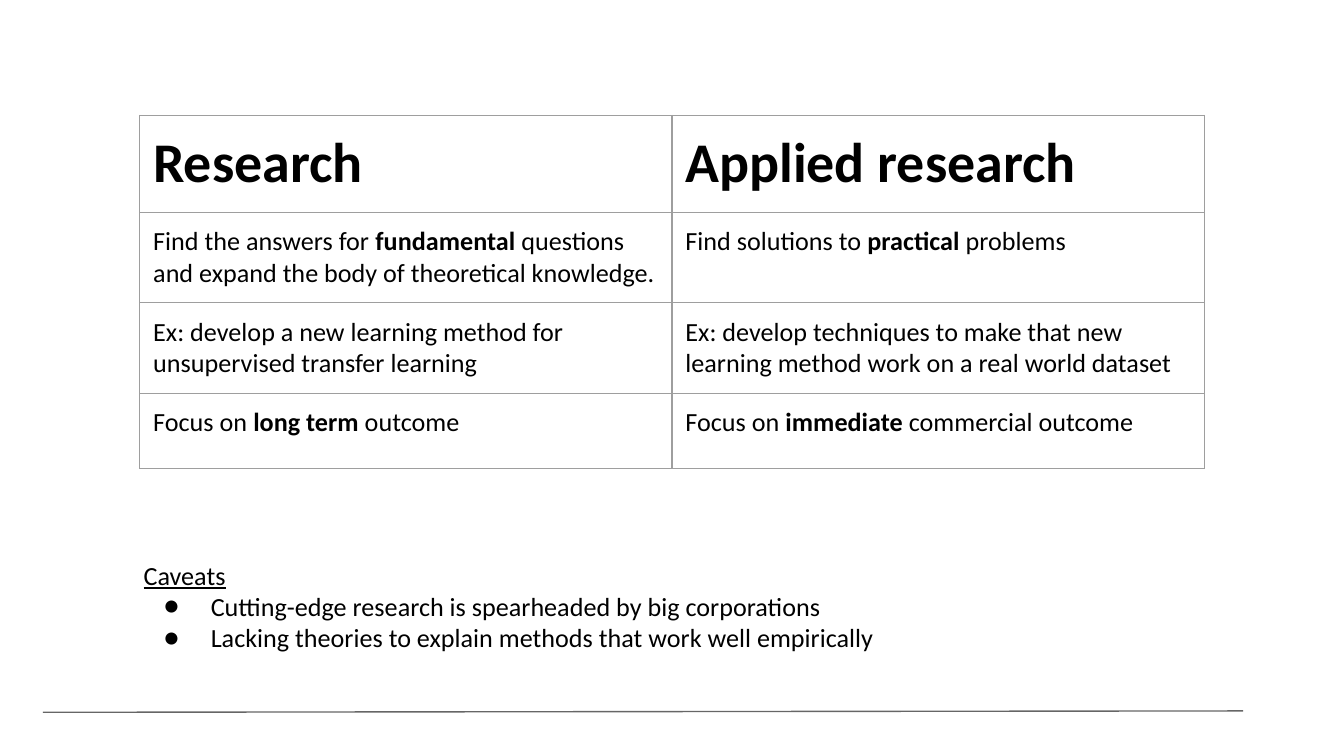
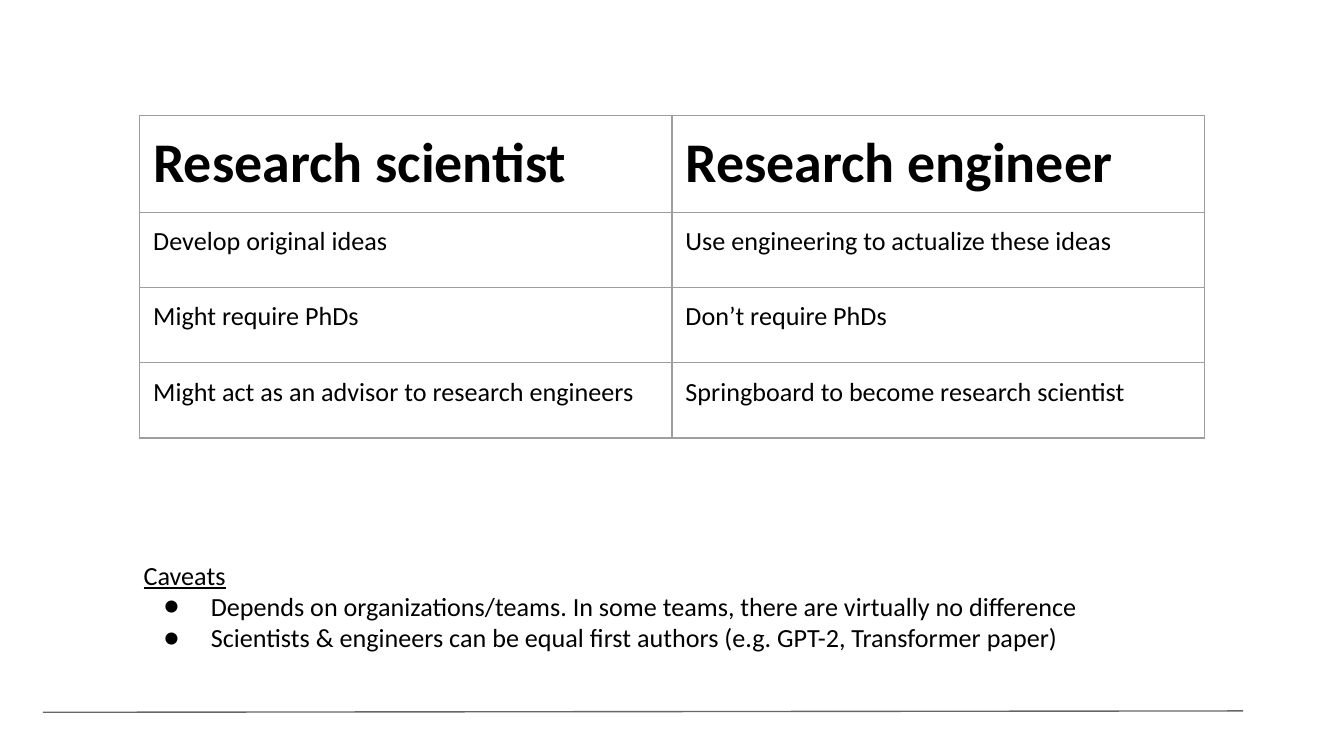
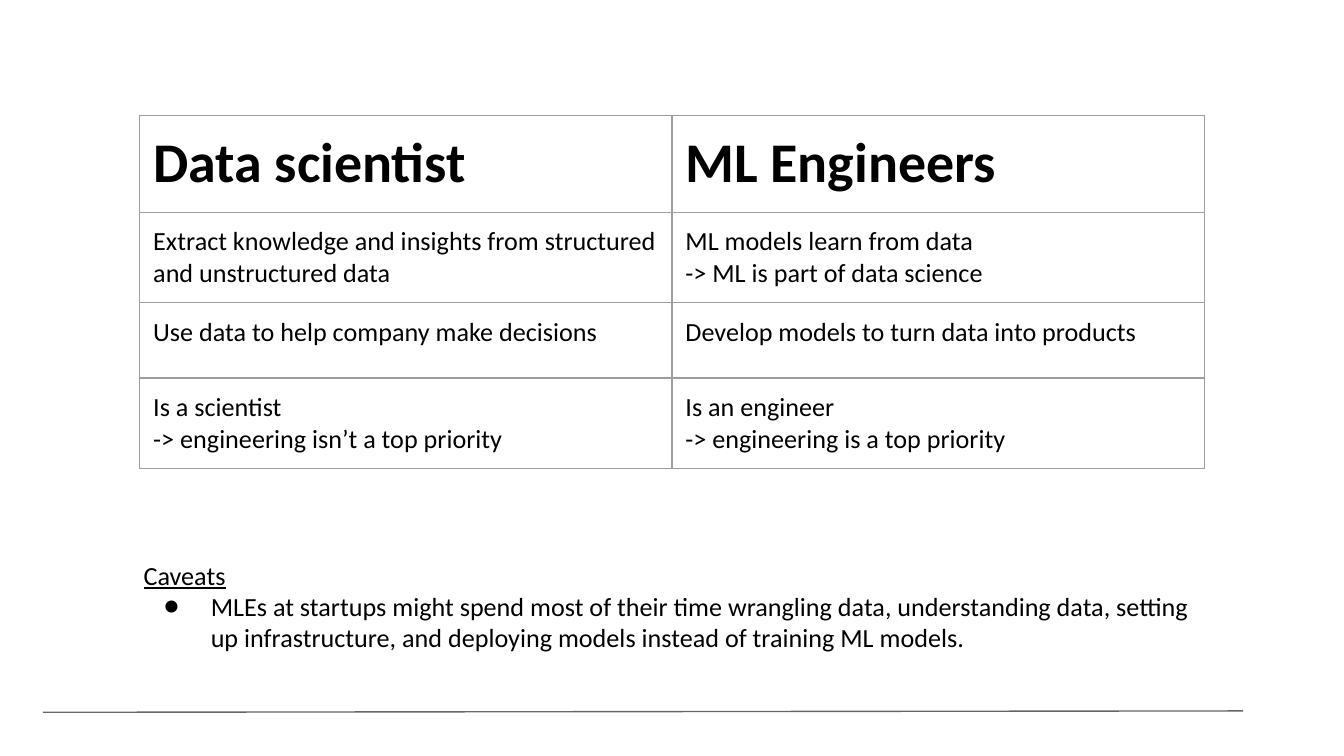
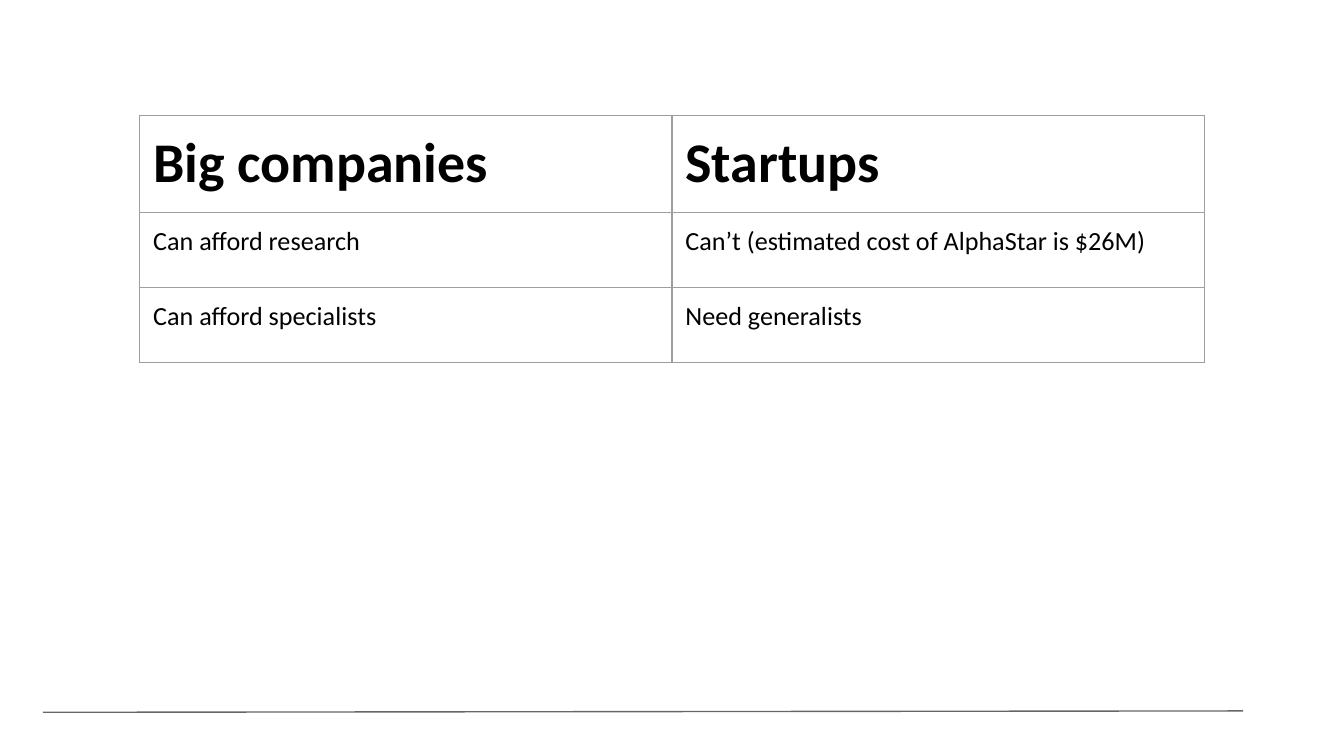
from dataclasses import dataclass

from lxml import etree
from pptx import Presentation
from pptx.dml.color import RGBColor
from pptx.enum.shapes import MSO_CONNECTOR
from pptx.enum.text import MSO_ANCHOR
from pptx.oxml.ns import qn
from pptx.util import Inches, Pt

STRAIGHT = MSO_CONNECTOR.STRAIGHT
TOP = MSO_ANCHOR.TOP
BLANK_LAYOUT = 6


# Shared style
@dataclass(frozen=True)
class Theme:
    font: str = "Calibri"
    ink: str = "000000"
    rule: str = "666666"
    grid: str = "9E9E9E"
    header_size: int = 30
    body_size: int = 14
    line_width: float = 0.75
    inset: float = 0.1
    column_width: float = 3.96
    header_height: float = 0.72
    row_height: float = 0.56


class Deck:
    def __init__(self, theme):
        self.theme = theme
        self.presentation = Presentation()
        self.presentation.slide_width = Inches(10)
        self.presentation.slide_height = Inches(10 * 9 / 16)
        self.page = None

    def add_page(self):
        layout = self.presentation.slide_layouts[BLANK_LAYOUT]
        self.page = self.presentation.slides.add_slide(layout)
        self.add_footer_rule()

    def add_footer_rule(self):
        rule = self.page.shapes.add_connector(
            STRAIGHT, Inches(0.32), Inches(5.3), Inches(9.25), Inches(5.29))
        rule.line.color.rgb = RGBColor.from_string(self.theme.rule)
        rule.line.width = Pt(self.theme.line_width)
        etree.SubElement(rule._element.spPr, qn("a:effectLst"))

    def add_span(self, para, text, size, bold=False, underline=False):
        span = para.add_run()
        span.text = text
        span.font.name = self.theme.font
        span.font.size = Pt(size)
        span.font.bold = bold
        span.font.underline = underline
        span.font.color.rgb = RGBColor.from_string(self.theme.ink)

    def set_margins(self, target):
        inset = Inches(self.theme.inset)
        target.margin_left = target.margin_right = inset
        target.margin_top = target.margin_bottom = inset

    def add_bullet(self, para):
        properties = para._p.get_or_add_pPr()
        properties.set("marL", str(Inches(0.5)))
        properties.set("indent", str(Inches(-0.35)))
        colour = etree.SubElement(properties, qn("a:buClr"))
        etree.SubElement(colour, qn("a:srgbClr"), val=self.theme.ink)
        etree.SubElement(properties, qn("a:buFont"), typeface=self.theme.font)
        etree.SubElement(properties, qn("a:buChar"), char="●")

    def add_borders(self, cell):
        properties = cell._tc.get_or_add_tcPr()
        for position, side in enumerate(("lnL", "lnR", "lnT", "lnB")):
            border = etree.Element(
                qn(f"a:{side}"), w=str(Pt(self.theme.line_width)))
            fill = etree.SubElement(border, qn("a:solidFill"))
            etree.SubElement(fill, qn("a:srgbClr"), val=self.theme.grid)
            properties.insert(position, border)

    def fill_cell(self, cell, text, is_header):
        """Write text in a cell; ** marks bold and a line break a paragraph."""
        self.set_margins(cell)
        cell.vertical_anchor = TOP
        cell.fill.background()
        self.add_borders(cell)
        size = self.theme.header_size if is_header else self.theme.body_size
        frame = cell.text_frame
        for number, line in enumerate(text.split("\n")):
            para = frame.add_paragraph() if number else frame.paragraphs[0]
            for index, part in enumerate(line.split("**")):
                self.add_span(para, part, size, is_header or index % 2 == 1)

    def add_comparison(self, rows):
        theme = self.theme
        columns = len(rows[0])
        heights = [theme.header_height] + [theme.row_height] * (len(rows) - 1)
        table = self.page.shapes.add_table(
            len(rows), columns, Inches(1.04), Inches(0.86),
            Inches(theme.column_width * columns), Inches(sum(heights))).table
        table.first_row = table.horz_banding = False
        for column in table.columns:
            column.width = Inches(theme.column_width)
        for row_index, texts in enumerate(rows):
            table.rows[row_index].height = Inches(heights[row_index])
            for column_index, text in enumerate(texts):
                self.fill_cell(table.cell(row_index, column_index), text,
                               row_index == 0)

    def add_caveats(self, caveats):
        box = self.page.shapes.add_textbox(
            Inches(0.97), Inches(4.06), Inches(8.16), Inches(1.23))
        frame = box.text_frame
        frame.word_wrap = True
        frame.vertical_anchor = TOP
        self.set_margins(frame)
        size = self.theme.body_size
        self.add_span(frame.paragraphs[0], "Caveats", size, underline=True)
        for caveat in caveats:
            para = frame.add_paragraph()
            self.add_bullet(para)
            self.add_span(para, caveat, size)

    def save(self):
        self.presentation.save("out.pptx")


# Content: comparison rows and caveats of each page
PAGES = [
    ([("Research", "Applied research"),
      ("Find the answers for **fundamental** questions and expand the body "
       "of theoretical knowledge.",
       "Find solutions to **practical** problems"),
      ("Ex: develop a new learning method for unsupervised transfer learning",
       "Ex: develop techniques to make that new learning method work on a "
       "real world dataset"),
      ("Focus on **long term** outcome",
       "Focus on **immediate** commercial outcome")],
     ["Cutting-edge research is spearheaded by big corporations",
      "Lacking theories to explain methods that work well empirically"]),
    ([("Research scientist", "Research engineer"),
      ("Develop original ideas", "Use engineering to actualize these ideas"),
      ("Might require PhDs", "Don’t require PhDs"),
      ("Might act as an advisor to research engineers",
       "Springboard to become research scientist")],
     ["Depends on organizations/teams. In some teams, there are virtually "
      "no difference",
      "Scientists & engineers can be equal first authors (e.g. GPT-2, "
      "Transformer paper)"]),
    ([("Data scientist", "ML Engineers"),
      ("Extract knowledge and insights from structured and unstructured data",
       "ML models learn from data\n-> ML is part of data science"),
      ("Use data to help company make decisions",
       "Develop models to turn data into products"),
      ("Is a scientist\n-> engineering isn’t a top priority",
       "Is an engineer\n-> engineering is a top priority")],
     ["MLEs at startups might spend most of their time wrangling data, "
      "understanding data, setting up infrastructure, and deploying models "
      "instead of training ML models."]),
    ([("Big companies", "Startups"),
      ("Can afford research", "Can’t (estimated cost of AlphaStar is $26M)"),
      ("Can afford specialists", "Need generalists")],
     []),
]


def main():
    deck = Deck(Theme())
    for rows, caveats in PAGES:
        deck.add_page()
        deck.add_comparison(rows)
        if caveats:
            deck.add_caveats(caveats)
    deck.save()


if __name__ == "__main__":
    main()
